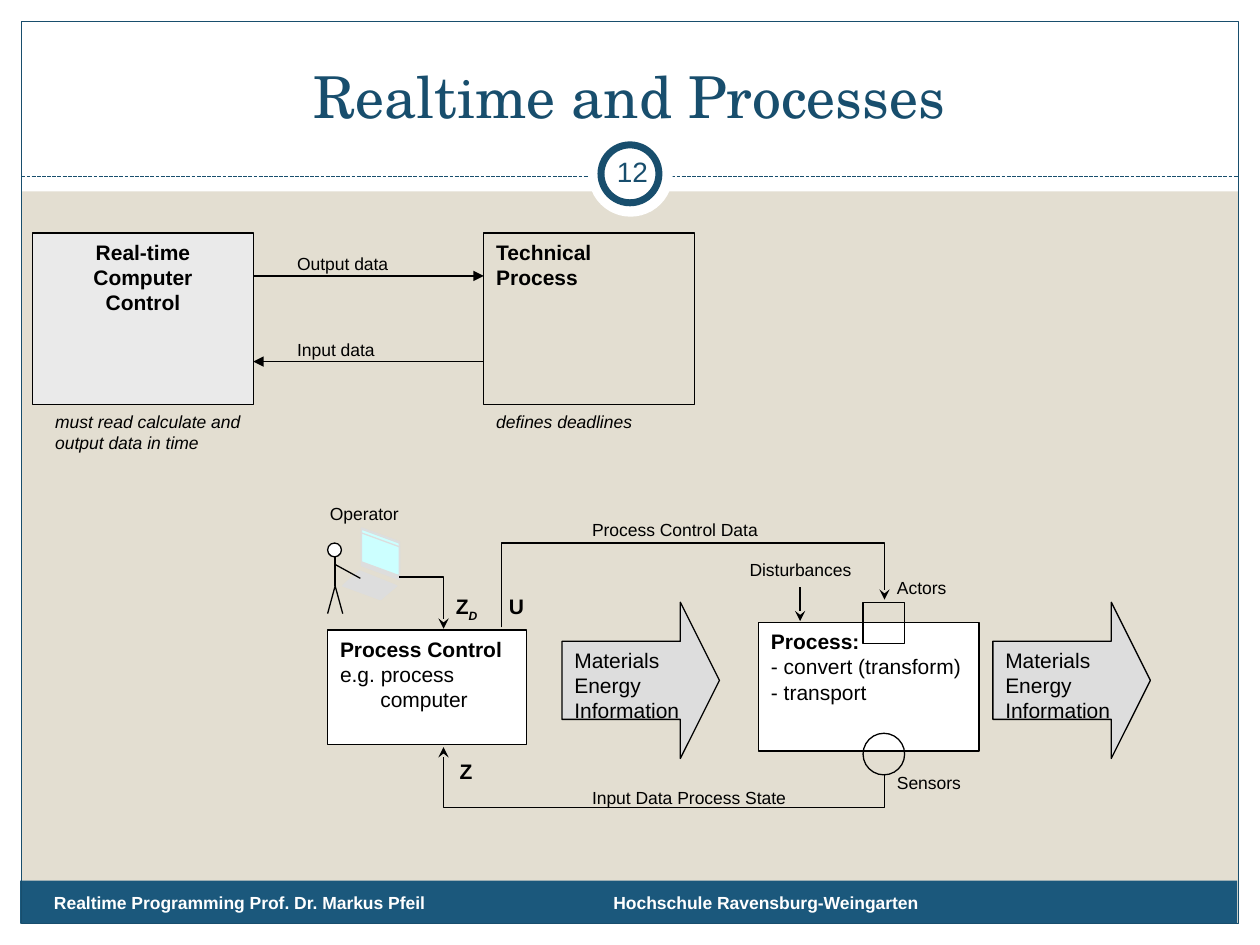
from dataclasses import dataclass
from typing import Optional

from lxml.etree import SubElement
from pptx import Presentation
from pptx.dml.color import RGBColor
from pptx.enum.dml import MSO_LINE
from pptx.enum.shapes import MSO_CONNECTOR, MSO_SHAPE as SHAPE
from pptx.enum.text import MSO_ANCHOR as ANCHOR, PP_ALIGN as ALIGN
from pptx.oxml.ns import qn
from pptx.util import Inches, Pt

BLACK = RGBColor(0x00, 0x00, 0x00)
WHITE = RGBColor(0xFF, 0xFF, 0xFF)
SAND = RGBColor(0xE3, 0xDE, 0xD1)
NAVY = RGBColor(0x18, 0x4E, 0x6D)
BLUE = RGBColor(0x1B, 0x58, 0x7C)
GRAY = RGBColor(0xDD, 0xDD, 0xDD)
LIGHT_GRAY = RGBColor(0xEA, 0xEA, 0xEA)
CYAN = RGBColor(0xCC, 0xFF, 0xFF)

Point = tuple[float, float]


@dataclass
class Box:
    x: float
    y: float
    w: float
    h: float
    kind: SHAPE = SHAPE.RECTANGLE
    fill: Optional[RGBColor] = None
    line: Optional[RGBColor] = BLACK
    weight: float = 0.75


@dataclass
class Label:
    text: str
    x: float
    y: float
    w: float
    h: float = 0.26
    size: float = 10
    bold: bool = False
    italic: bool = False
    color: RGBColor = BLACK
    font: str = "Arial"
    align: ALIGN = ALIGN.LEFT
    anchor: ANCHOR = ANCHOR.TOP


def paint(s, fill: Optional[RGBColor], line: Optional[RGBColor], weight: float = 0.75) -> None:
    s.shadow.inherit = False
    if fill is None:
        s.fill.background()
    else:
        s.fill.solid()
        s.fill.fore_color.rgb = fill
    if line is None:
        s.line.fill.background()
    else:
        s.line.color.rgb = line
        s.line.width = Pt(weight)


def write(s, text: str, size: float = 12, bold: bool = False, italic: bool = False,
          color: RGBColor = BLACK, font: str = "Arial", align: ALIGN = ALIGN.LEFT,
          anchor: ANCHOR = ANCHOR.TOP):
    tf = s.text_frame
    tf.word_wrap = True
    tf.vertical_anchor = anchor
    tf.text = text
    for p in tf.paragraphs:
        p.alignment = align
        p.font.size = Pt(size)
        p.font.bold = bold
        p.font.italic = italic
        p.font.name = font
        p.font.color.rgb = color
    return tf


def draw_box(sp, b: Box):
    s = sp.add_shape(b.kind, Inches(b.x), Inches(b.y), Inches(b.w), Inches(b.h))
    paint(s, b.fill, b.line, b.weight)
    return s


def draw_label(sp, t: Label):
    s = sp.add_textbox(Inches(t.x), Inches(t.y), Inches(t.w), Inches(t.h))
    return write(s, t.text, t.size, t.bold, t.italic, t.color, t.font, t.align, t.anchor)


def add_arrowhead(s, head: str) -> None:
    SubElement(s.line._get_or_add_ln(), qn("a:tailEnd"), type=head)


def draw_line(sp, start: Point, end: Point, head: Optional[str] = None,
              color: RGBColor = BLACK):
    c = sp.add_connector(MSO_CONNECTOR.STRAIGHT, *map(Inches, start + end))
    c.line.color.rgb = color
    c.line.width = Pt(0.75)
    if head:
        add_arrowhead(c, head)
    SubElement(c._element.spPr, qn("a:effectLst"))
    return c


def draw_path(sp, points: list[Point], fill: Optional[RGBColor] = None,
              line: RGBColor = BLACK, head: Optional[str] = None) -> None:
    start, *rest = [(Inches(x), Inches(y)) for x, y in points]
    builder = sp.build_freeform(*start)
    builder.add_line_segments(rest, close=fill is not None)
    s = builder.convert_to_shape()
    paint(s, fill, line)
    if head:
        add_arrowhead(s, head)


def draw_frame(sp) -> None:
    for b in (
        Box(0, 7.33, 10, 0.17, fill=WHITE, line=None),
        Box(0, 0, 10, 1.52, fill=WHITE, line=None),
        Box(0, 0, 0.17, 7.5, fill=WHITE, line=None),
        Box(9.83, 0, 0.17, 7.5, fill=WHITE, line=None),
        Box(0.16, 6.99, 9.66, 0.34, fill=BLUE, line=None),
        Box(0.17, 0.17, 9.66, 7.16, line=NAVY),
    ):
        draw_box(sp, b)
    divider = draw_line(sp, (0.17, 1.4), (9.83, 1.4), color=NAVY)
    divider.line.dash_style = MSO_LINE.SQUARE_DOT
    draw_box(sp, Box(4.67, 1.05, 0.67, 0.67, SHAPE.OVAL, WHITE, None))
    draw_box(sp, Box(4.77, 1.15, 0.46, 0.46, SHAPE.OVAL, WHITE, NAVY, 4))

    school = draw_label(sp, Label("Hochschule Ravensburg-Weingarten", 4.77, 7.08, 3.29, 0.22,
                                  bold=True, color=WHITE))
    school.paragraphs[0].line_spacing = 0.65
    draw_label(sp, Label("Realtime Programming Prof. Dr. Markus Pfeil", 0.33, 7.03, 3.92, 0.27,
                         bold=True, color=WHITE))
    draw_label(sp, Label("Realtime and Processes", 0.33, 0.25, 9.33, 0.83, 33, color=NAVY,
                         font="TeX Gyre Schola", align=ALIGN.CENTER, anchor=ANCHOR.BOTTOM))
    number = draw_label(sp, Label("12", 4.77, 1.12, 0.5, 0.48, 16, color=NAVY,
                                  align=ALIGN.CENTER, anchor=ANCHOR.MIDDLE))
    number.margin_left = number.margin_right = Inches(0.05)


def draw_control_loop(sp) -> None:
    computer = draw_box(sp, Box(0.26, 1.85, 1.75, 1.36, fill=LIGHT_GRAY))
    write(computer, "Real-time\vComputer\nControl", bold=True, align=ALIGN.CENTER)
    process = draw_box(sp, Box(3.84, 1.85, 1.67, 1.36))
    write(process, "Technical\vProcess", bold=True)
    draw_line(sp, (2.01, 2.19), (3.84, 2.19), "triangle")
    draw_line(sp, (3.84, 2.87), (2.01, 2.87), "triangle")
    for t in (
        Label("Output data", 2.26, 1.96, 1.17, 0.46),
        Label("Input data", 2.26, 2.64, 1.17, 0.46),
        Label("must read calculate and output data in time", 0.34, 3.21, 1.67, 0.57, italic=True),
        Label("defines deadlines", 3.84, 3.21, 1.67, 0.57, italic=True),
    ):
        draw_label(sp, t)


def draw_operator(sp) -> None:
    draw_box(sp, Box(2.6, 4.31, 0.11, 0.11, SHAPE.OVAL, WHITE))
    draw_line(sp, (2.66, 4.42), (2.66, 4.65))
    draw_path(sp, [(2.85, 4.53), (2.72, 4.65), (3.02, 4.76), (3.15, 4.65)], GRAY, GRAY)
    draw_line(sp, (2.66, 4.48), (2.86, 4.59))
    draw_path(sp, [(2.6, 4.87), (2.66, 4.65), (2.72, 4.87)])
    for top, fill in ((4.26, GRAY), (4.19, CYAN), (4.2, CYAN), (4.23, CYAN)):
        screen = [(2.87, top + 0.23), (2.87, top), (3.17, top + 0.11), (3.17, top + 0.34)]
        draw_path(sp, screen, fill, GRAY)


def draw_process_flow(sp) -> None:
    for x in (4.46, 7.88):
        flow = draw_box(sp, Box(x, 4.78, 1.25, 1.24, SHAPE.RIGHT_ARROW, GRAY))
        flow.adjustments[1] = 0.25
        write(flow, "Materials\nEnergy\nInformation")

    control = draw_box(sp, Box(2.6, 5, 1.58, 0.91, fill=WHITE))
    process = draw_box(sp, Box(6.02, 4.94, 1.75, 1.02, fill=WHITE))
    for s, text in ((control, "Process Control\ne.g. process\ncomputer"),
                    (process, "Process:\n- convert (transform)\n- transport")):
        write(s, text).paragraphs[0].font.bold = True
    last = control.text_frame.paragraphs[2]
    last._p.get_or_add_pPr().set("marL", str(Inches(0.32)))

    draw_box(sp, Box(6.85, 5.82, 0.33, 0.33, SHAPE.OVAL))
    draw_box(sp, Box(6.85, 4.78, 0.33, 0.33))
    draw_operator(sp)
    for points in (
        [(3.17, 4.58), (3.52, 4.58), (3.52, 4.99)],
        [(7.02, 6.14), (7.02, 6.41), (3.52, 6.41), (3.52, 5.93)],
        [(3.98, 4.98), (3.98, 4.31), (7.02, 4.31), (7.02, 4.76)],
    ):
        draw_path(sp, points, head="stealth")
    draw_line(sp, (6.35, 4.66), (6.35, 4.93), "stealth")

    for t in (
        Label("Operator", 2.52, 3.94, 0.76),
        Label("Process Control Data", 4.6, 4.07, 1.58),
        Label("Actors", 7.02, 4.53, 0.75),
        Label("Sensors", 7.02, 6.08, 0.75),
        Label("Input Data Process State", 4.6, 6.2, 1.92),
        Label("Disturbances", 5.85, 4.39, 1.08),
        Label("Z", 3.55, 5.97, 0.33, 0.32, 12, bold=True),
        Label("U", 3.94, 4.66, 0.33, 0.32, 12, bold=True),
    ):
        draw_label(sp, t)
    demand = draw_label(sp, Label("Z", 3.52, 4.66, 0.5, 0.32, 12, bold=True))
    r = demand.paragraphs[0].add_run()
    r.text = "D"
    r.font.italic = True
    r.font._element.set("baseline", "-30000")


def main() -> None:
    prs = Presentation()
    prs.slide_width, prs.slide_height = Inches(10), Inches(7.5)
    slide = prs.slides.add_slide(prs.slide_layouts[6])
    slide.background.fill.solid()
    slide.background.fill.fore_color.rgb = SAND
    draw_frame(slide.shapes)
    draw_process_flow(slide.shapes)
    draw_control_loop(slide.shapes)
    prs.save("out.pptx")


if __name__ == "__main__":
    main()
